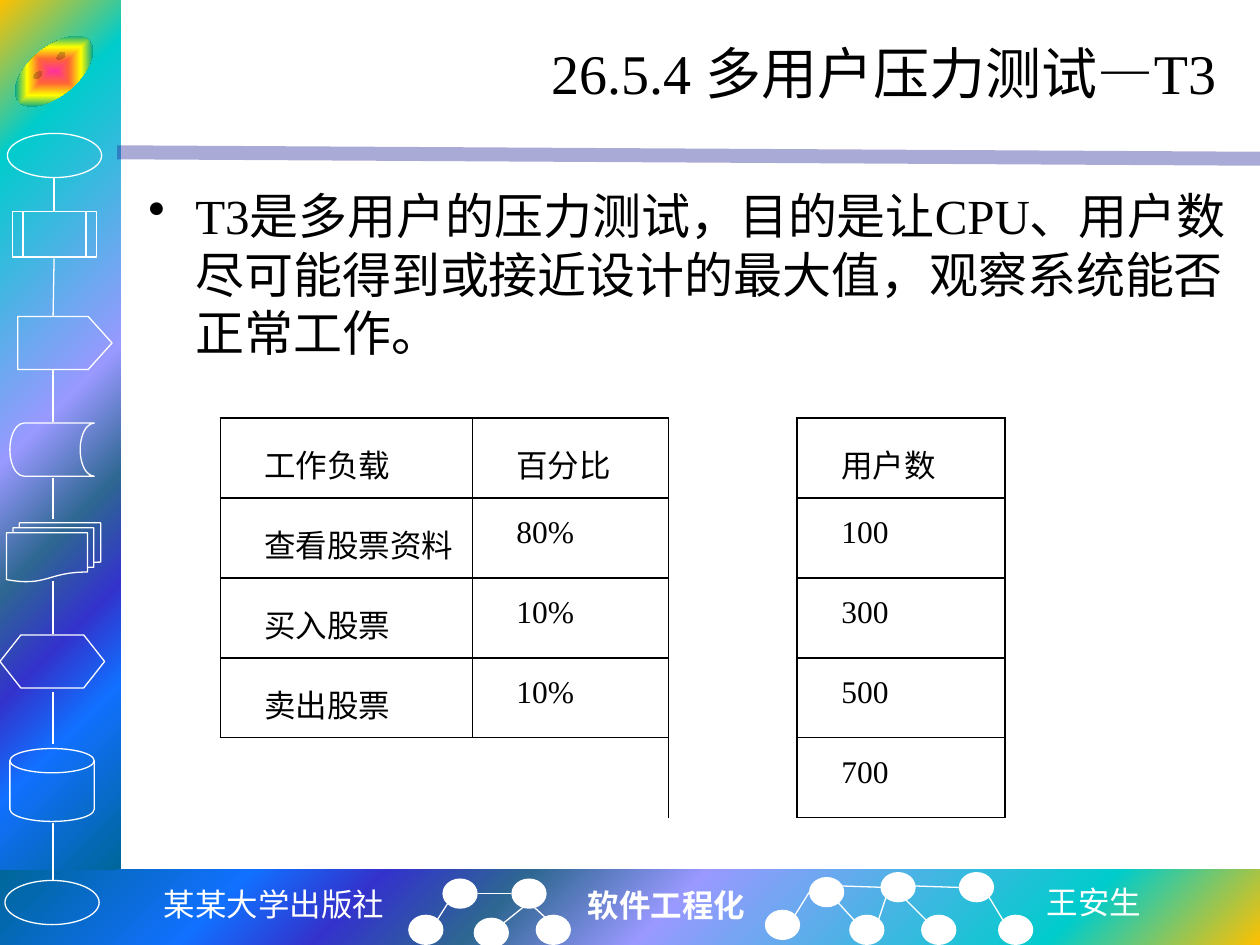
import pptx
import pptx.util
import pptx.dml.color
import pptx.enum.shapes
import pptx.enum.text
import pptx.oxml
import pptx.oxml.ns
from lxml import etree

Cm, Pt = pptx.util.Cm, pptx.util.Pt
SHAPE = pptx.enum.shapes.MSO_SHAPE
ALIGN = pptx.enum.text.PP_ALIGN
SERIF, SANS, MONO = "Times New Roman", "Noto Sans CJK SC", "DejaVu Sans Mono"
BLACK, WHITE = "000000", "FFFFFF"
SPECTRUM = [(0, "FFC000"), (16, "00CCCC"), (47, "9999FF"), (60, "2E6792"),
            (71, "3333CC"), (81, "1170FF"), (100, "006699")]
RAINBOW = [(0, "FF3399"), (25, "FF6633"), (50, "FFFF00"),
           (75, "01A78F"), (100, "3366FF")]

# Sidebar symbols: kind, left, top, width, height in cm
SYMBOLS = [
    (SHAPE.OVAL, 0.15, 2.69, 1.9, 0.89),
    (SHAPE.FLOWCHART_PREDEFINED_PROCESS, 0.25, 4.27, 1.7, 0.91),
    (SHAPE.PENTAGON, 0.36, 6.38, 1.9, 1.07),
    (SHAPE.FLOWCHART_STORED_DATA, 0.2, 8.53, 1.7, 1.07),
    (SHAPE.FLOWCHART_MULTIDOCUMENT, 0.13, 10.54, 1.9, 1.19),
    (SHAPE.FLOWCHART_PREPARATION, 0, 12.8, 2.11, 1.07),
    (SHAPE.FLOWCHART_MAGNETIC_DISK, 0.2, 15.09, 1.7, 1.47),
    (SHAPE.OVAL, 0.1, 17.75, 1.9, 0.89),
]
FLOW = [(1.09, 3.56, 1.09, 4.27), (1.09, 5.21, 1.07, 6.38),
        (1.07, 7.44, 1.07, 8.51), (1.07, 9.63, 1.07, 10.46),
        (1.07, 11.71, 1.07, 12.78), (1.07, 13.94, 1.07, 14.99),
        (1.07, 16.59, 1.07, 17.75)]

# Footer networks, relative to the footer
NODES = [(8.92, 0.18), (8.23, 0.91), (9.55, 0.97), (10.31, 0.18), (10.8, 0.91),
         (15.42, 0.81), (16.31, 0.15), (17.12, 0.91), (17.75, 0.05),
         (18.57, 0.91), (19.33, 0.05), (20.12, 0.91)]
LINKS = [(8.81, 1.02, 9.02, 0.69), (10.16, 1.07, 10.57, 0.74),
         (10.31, 0.48, 9.63, 0.48), (11.02, 0.99, 10.77, 0.76),
         (16.03, 0.91, 16.31, 0.46), (17.22, 1.02, 16.89, 0.66),
         (16.97, 0.33, 17.86, 0.36), (17.7, 1.04, 17.86, 0.56),
         (18.67, 1.02, 18.16, 0.51), (18.44, 0.33, 19.33, 0.36),
         (20.22, 1.02, 19.94, 0.56)]
LABELS = [("某某大学出版社", 3.02, 0.18, 5, MONO, False),
          ("软件工程化", 11.58, 0.2, 3.71, SERIF, True),
          ("王安生", 20.83, 0.15, 2.44, SANS, False)]

GAP = 2
ROWS = [("工作负载", "百分比", "", "用户数"),
        ("查看股票资料", "80%", "", "100"),
        ("买入股票", "10%", "", "300"),
        ("卖出股票", "10%", "", "500"),
        ("", "", "", "700")]


def rgb(value):
    """Turn a hex string into a colour."""
    return pptx.dml.color.RGBColor.from_string(value)


def sub(parent, tag, **attrs):
    """Append a drawing element to a parent."""
    return etree.SubElement(parent, pptx.oxml.ns.qn("a:" + tag), attrs)


def style(p, size, font, color, bold=False):
    """Format the runs of a paragraph."""
    for r in p.runs:
        r.font.size, r.font.name, r.font.bold = Pt(size), font, bold
        r.font.color.rgb = rgb(color)
        sub(r.font._element, "ea", typeface=SANS)


def gradient(sp, stops, kind, l, t, r, b):
    """Fill a shape with a path gradient focused on a rectangle."""
    sp.fill.background()
    old = sp._element.spPr.find(pptx.oxml.ns.qn("a:noFill"))
    grad = etree.Element(pptx.oxml.ns.qn("a:gradFill"), rotWithShape="1")
    gs_list = sub(grad, "gsLst")
    for pos, color in stops:
        sub(sub(gs_list, "gs", pos=str(pos * 1000)), "srgbClr", val=color)
    focus = {k: f"{v}000" for k, v in zip("ltrb", (l, t, r, b))}
    sub(sub(grad, "path", **{"path": kind}), "fillToRect", **focus)
    old.getparent().replace(old, grad)


def add_shape(s, kind, x, y, w, h, fill=None, line=None):
    """Add a flat preset shape, sizes in cm."""
    sp = s.shapes.add_shape(kind, Cm(x), Cm(y), Cm(w), Cm(h))
    sp.shadow.inherit = False
    if fill:
        sp.fill.solid()
        sp.fill.fore_color.rgb = rgb(fill)
    else:
        sp.fill.background()
    if line:
        sp.line.color.rgb, sp.line.width = rgb(line), Pt(0.75)
    else:
        sp.line.fill.background()
    return sp


def add_line(s, x1, y1, x2, y2, color=WHITE, width=0.75):
    """Add a straight line without shadow."""
    cn = s.shapes.add_connector(pptx.enum.shapes.MSO_CONNECTOR.STRAIGHT,
                                Cm(x1), Cm(y1), Cm(x2), Cm(y2))
    cn.line.color.rgb, cn.line.width = rgb(color), Pt(width)
    sub(cn._element.spPr, "effectLst")
    return cn


def footer(s, x, y, w, h):
    """Draw the bottom band with its networks and labels."""
    band = add_shape(s, SHAPE.RECTANGLE, x, y, w, h)
    gradient(band, SPECTRUM, "circle", 100, 100, 0, 0)
    for nx, ny in NODES:
        add_shape(s, SHAPE.OVAL, x + nx, y + ny, 0.71, 0.61, WHITE)
    for x1, y1, x2, y2 in LINKS:
        add_line(s, x + x1, y + y1, x + x2, y + y2)
    for text, lx, ly, lw, font, bold in LABELS:
        tf = s.shapes.add_textbox(Cm(x + lx), Cm(y + ly), Cm(lw), Cm(1.02)).text_frame
        tf.word_wrap = False
        tf.text = text
        tf.paragraphs[0].alignment = ALIGN.CENTER
        style(tf.paragraphs[0], 18, font, WHITE, bold)


def sidebar(s, x, y, w, h):
    """Draw the left band with its chain of flowchart symbols."""
    band = add_shape(s, SHAPE.RECTANGLE, x, y, w, h)
    gradient(band, SPECTRUM, "circle", 0, 0, 100, 100)
    badge = add_shape(s, SHAPE.SMILEY_FACE, x + 0.15, y + 0.95, 1.88, 0.97)
    badge.rotation = -40
    gradient(badge, RAINBOW, "rect", 50, 50, 50, 50)
    for kind, sx, sy, sw, sh in SYMBOLS:
        sp = add_shape(s, kind, x + sx, y + sy, sw, sh, line=WHITE)
        if kind == SHAPE.PENTAGON:
            sp.adjustments[0] = 0.45
    for x1, y1, x2, y2 in FLOW:
        add_line(s, x + x1, y + y1, x + x2, y + y2)


def heading(s, x, y, w, h):
    """Place the title and the translucent rule under it."""
    title = s.shapes.title
    title.left, title.top, title.width, title.height = Cm(x), Cm(y), Cm(w), Cm(h)
    tf = title.text_frame
    tf.text = "26.5.4 多用户压力测试—T3"
    tf.vertical_anchor = pptx.enum.text.MSO_ANCHOR.MIDDLE
    tf.paragraphs[0].alignment = ALIGN.RIGHT
    style(tf.paragraphs[0], 32, SERIF, BLACK)
    rule = add_line(s, x - 0.82, y + 2.64, x + 22.22, y + 2.77, "262699", 8)
    color = next(rule.line._ln.iter(pptx.oxml.ns.qn("a:srgbClr")))
    sub(color, "alpha", val="39000")


def body(s, x, y, w, h):
    """Place the bulleted paragraph."""
    tf = s.shapes.add_textbox(Cm(x), Cm(y), Cm(w), Cm(h)).text_frame
    tf.word_wrap = True
    tf.text = ("T3是多用户的压力测试，目的是让CPU、用户数尽可能得到或接近设计的最大值，"
               "观察系统能否正常工作。")
    p = tf.paragraphs[0]
    p.space_before = Pt(5.6)
    style(p, 28, SERIF, BLACK)
    pPr = p._p.get_or_add_pPr()
    pPr.set("marL", str(Cm(0.95)))
    pPr.set("indent", str(-Cm(0.95)))
    sub(pPr, "buChar", char="•")


def cell_edges(row, col):
    """Name the edges of a table cell that are drawn."""
    if col == GAP:
        return "LR"
    if row == len(ROWS) - 1 and col < GAP:
        return "TR" if col else "T"
    return "LRTB"


def workload_table(s, x, y, widths, row_height):
    """Place the workload and user-count table."""
    tb = s.shapes.add_table(len(ROWS), len(widths), Cm(x), Cm(y), Cm(sum(widths)),
                            Cm(row_height * len(ROWS))).table
    tb.first_row = tb.horz_banding = False
    for column, width in zip(tb.columns, widths):
        column.width = Cm(width)
    for i, row in enumerate(ROWS):
        tb.rows[i].height = Cm(row_height)
        for j, text in enumerate(row):
            cell = tb.cell(i, j)
            cell.margin_left = cell.margin_right = Cm(0.18)
            cell.margin_top = cell.margin_bottom = 0
            tcPr = cell._tc.get_or_add_tcPr()
            for edge in "LRTB":
                ln = sub(tcPr, "ln" + edge, w=str(Pt(1)))
                if edge in cell_edges(i, j):
                    sub(sub(ln, "solidFill"), "srgbClr", val=BLACK)
                else:
                    sub(ln, "noFill")
            cell.fill.background()
            if text:
                cell.text = text
                p = cell.text_frame.paragraphs[0]
                p.alignment, p.line_spacing = ALIGN.JUSTIFY, 1.5
                p._p.get_or_add_pPr().set("marL", str(Cm(0.71)))
                style(p, 18, SERIF, BLACK)
    last = len(ROWS) - 1
    tb.cell(0, GAP).merge(tb.cell(last, GAP))
    tb.cell(last, 0).merge(tb.cell(last, 1))


prs = pptx.Presentation()
prs.slide_width, prs.slide_height = Cm(25.4), Cm(19.05)
s = prs.slides.add_slide(prs.slide_layouts[5])
footer(s, 0, 17.53, 25.4, 1.52)
sidebar(s, 0, 0, 2.44, 17.53)
heading(s, 3.18, 0.43, 21.59, 2.06)
body(s, 2.74, 3.61, 22.23, 3.99)
workload_table(s, 4.44, 8.43, [5.08, 3.96, 2.59, 4.19], 1.61)
prs.save("out.pptx")
